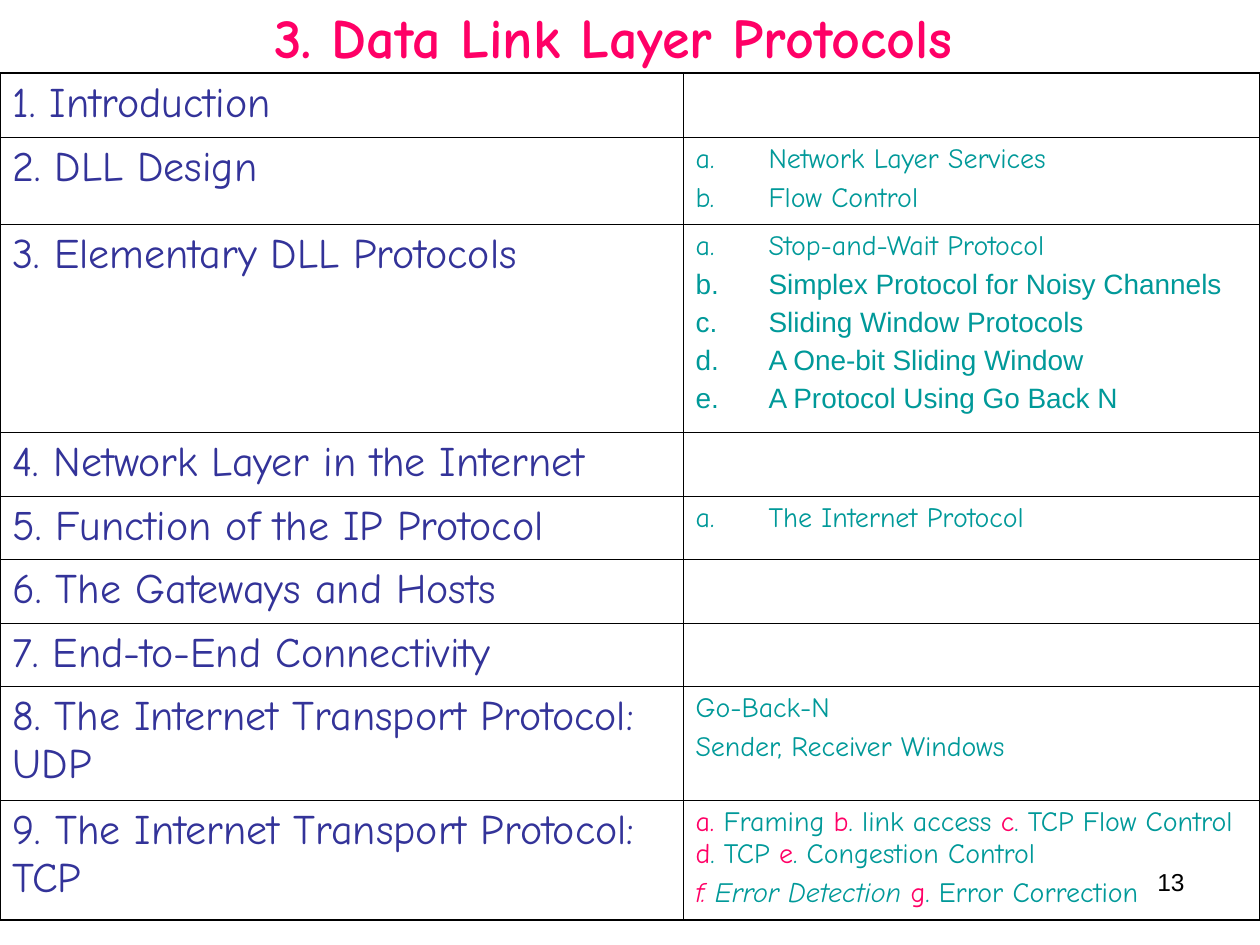
from lxml import etree
from pptx import Presentation
from pptx.dml.color import RGBColor
from pptx.enum.text import MSO_ANCHOR, MSO_AUTO_SIZE, PP_ALIGN
from pptx.oxml.ns import qn
from pptx.util import Emu, Pt

CENTER, RIGHT = PP_ALIGN.CENTER, PP_ALIGN.RIGHT
TOP, MIDDLE = MSO_ANCHOR.TOP, MSO_ANCHOR.MIDDLE
NO_AUTOFIT = MSO_AUTO_SIZE.NONE

# Content: topic, row height in px, lettered list or not, paragraphs of (style, text)
TITLE = "3. Data Link Layer Protocols"
PAGE = "13"
AGENDA = [
    ("1. Introduction", 64, False, []),
    ("2. DLL Design", 87, True, [
        [("detail", "Network Layer Services")],
        [("detail", "Flow Control")]]),
    ("3. Elementary DLL Protocols", 208, True, [
        [("detail", "Stop-and-Wait Protocol")],
        [("detail_sans", "Simplex Protocol for Noisy Channels")],
        [("detail_sans", "Sliding Window Protocols")],
        [("detail_sans", "A One-bit Sliding Window")],
        [("detail_sans", "A Protocol Using Go Back N")]]),
    ("4. Network Layer in the Internet", 64, False, []),
    ("5. Function of the IP Protocol", 63, True, [
        [("detail", "The Internet Protocol")]]),
    ("6. The Gateways and Hosts", 64, False, []),
    ("7. End-to-End Connectivity", 63, False, []),
    ("8. The Internet Transport Protocol: UDP", 114, False, [
        [("detail", "Go-Back-N")],
        [("detail", "Sender, Receiver Windows")]]),
    ("9. The Internet Transport Protocol: TCP", 120, False, [
        [("letter", "a."), ("detail", " Framing "),
         ("letter", "b"), ("detail", ". link access "),
         ("letter", "c"), ("detail", ". TCP Flow Control "),
         ("letter", "d"), ("detail", ". TCP "),
         ("letter", "e"), ("detail", ". Congestion Control")],
        [("letter_italic", "f."), ("detail_italic", " Error Detection "),
         ("letter", "g"), ("detail", ". Error Correction")]]),
]

# Theme
HAND, SANS = "Comic Neue", "Arial"
PINK, NAVY, TEAL, BLACK = "FF0066", "333399", "009999", "000000"
THEME = {
    "title": {"name": HAND, "size": Pt(32), "bold": True, "color": PINK},
    "topic": {"name": HAND, "size": Pt(24), "color": NAVY},
    "detail": {"name": HAND, "size": Pt(16), "color": TEAL},
    "detail_sans": {"name": SANS, "size": Pt(16), "color": TEAL},
    "detail_italic": {"name": HAND, "size": Pt(16), "italic": True, "color": TEAL},
    "letter": {"name": HAND, "size": Pt(16), "color": PINK},
    "letter_italic": {"name": HAND, "size": Pt(16), "italic": True, "color": PINK},
    "page": {"name": SANS, "size": Pt(14), "color": BLACK},
}
OUTER_LINE, INNER_LINE = Pt(1.08), Pt(0.45)
TOPIC_GAP, DETAIL_GAP = Pt(6), Pt(4)

# Layout in px
PX = 914400 / 126
SLIDE = (1260, 945)
TITLE_BOX = (73, 0, 1081, 73)
PAGE_BOX = (903, 861, 294, 66)
TABLE_TOP = 73
COLUMNS = (683, 577)
INDENT = 73


def px(length):
    return Emu(round(length * PX))


def add_run(paragraph, style, text):
    run = paragraph.add_run()
    run.text = text
    for attribute, value in THEME[style].items():
        if attribute == "color":
            run.font.color.rgb = RGBColor.from_string(value)
        else:
            setattr(run.font, attribute, value)


def set_lettering(paragraph):
    properties = paragraph._p.get_or_add_pPr()
    properties.set("marL", str(px(INDENT)))
    properties.set("indent", str(-px(INDENT)))
    bullet_color = etree.SubElement(properties, qn("a:buClr"))
    etree.SubElement(bullet_color, qn("a:srgbClr"), val=TEAL)
    etree.SubElement(properties, qn("a:buAutoNum"), type="alphaLcPeriod")


def fill_cell(cell, paragraphs, gap, lettered=False):
    for index, runs in enumerate(paragraphs):
        frame = cell.text_frame
        paragraph = frame.add_paragraph() if index else frame.paragraphs[0]
        paragraph.space_before = gap
        if lettered:
            set_lettering(paragraph)
        for style, text in runs:
            add_run(paragraph, style, text)


def set_borders(cell, outer_sides):
    properties = cell._tc.get_or_add_tcPr()
    for position, side in enumerate("LRTB"):
        width = OUTER_LINE if side in outer_sides else INNER_LINE
        line = etree.Element(qn("a:ln" + side), w=str(width))
        fill = etree.SubElement(line, qn("a:solidFill"))
        etree.SubElement(fill, qn("a:srgbClr"), val=BLACK)
        properties.insert(position, line)


def place_text(shape, box, style, text, alignment, anchor):
    shape.left, shape.top, shape.width, shape.height = map(px, box)
    frame = shape.text_frame
    frame.word_wrap = True
    frame.auto_size = NO_AUTOFIT
    frame.vertical_anchor = anchor
    frame.paragraphs[0].alignment = alignment
    add_run(frame.paragraphs[0], style, text)


def add_agenda(slide):
    heights = [height for _, height, _, _ in AGENDA]
    table = slide.shapes.add_table(
        len(AGENDA), len(COLUMNS), 0, px(TABLE_TOP),
        px(sum(COLUMNS)), px(sum(heights))).table
    table.first_row = table.horz_banding = False
    for column, width in zip(table.columns, COLUMNS):
        column.width = px(width)

    for index, (topic, height, lettered, details) in enumerate(AGENDA):
        row = table.rows[index]
        row.height = px(height)
        topic_cell, detail_cell = row.cells
        fill_cell(topic_cell, [[("topic", topic)]], TOPIC_GAP)
        fill_cell(detail_cell, details, DETAIL_GAP, lettered)
        edges = ("T" if index == 0 else "") + ("B" if index == len(AGENDA) - 1 else "")
        for cell, side in ((topic_cell, "L"), (detail_cell, "R")):
            cell.fill.background()
            set_borders(cell, edges + side)


def main():
    deck = Presentation()
    deck.slide_width, deck.slide_height = map(px, SLIDE)
    slide = deck.slides.add_slide(deck.slide_layouts[5])

    # Heading, agenda table, page number
    place_text(slide.shapes.title, TITLE_BOX, "title", TITLE, CENTER, MIDDLE)
    add_agenda(slide)
    page = slide.shapes.add_textbox(*map(px, PAGE_BOX))
    place_text(page, PAGE_BOX, "page", PAGE, RIGHT, TOP)

    deck.save("out.pptx")


if __name__ == "__main__":
    main()
